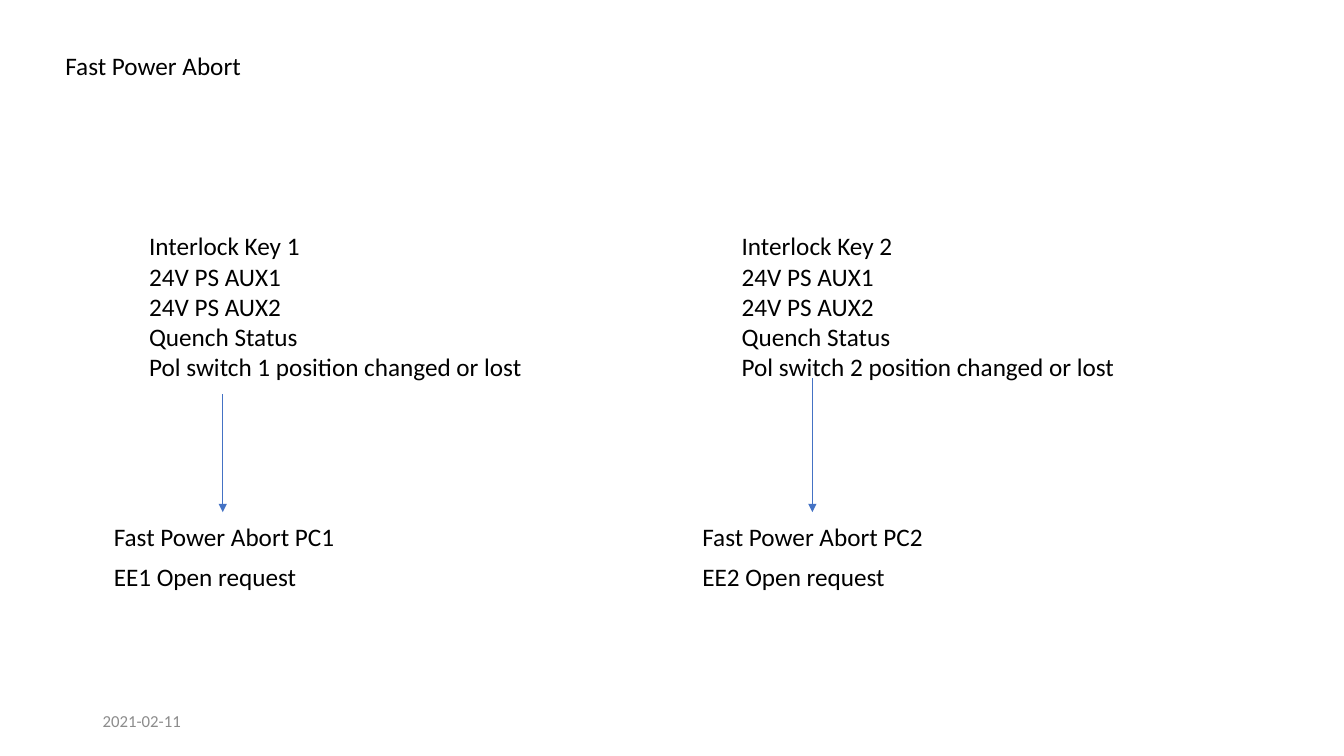
from dataclasses import dataclass

from lxml.etree import SubElement
from pptx import Presentation
from pptx.dml.color import RGBColor
from pptx.enum.shapes import MSO_CONNECTOR
from pptx.enum.text import MSO_ANCHOR, MSO_AUTO_SIZE
from pptx.oxml.ns import qn
from pptx.util import Pt


@dataclass(frozen=True)
class Theme:
    font: str = "Calibri"
    body_size: float = 18
    date_size: float = 12
    ink: RGBColor = RGBColor(0x00, 0x00, 0x00)
    muted: RGBColor = RGBColor(0x8C, 0x8C, 0x8C)
    arrow: RGBColor = RGBColor(0x44, 0x72, 0xC4)
    arrow_width: float = 0.5


THEME = Theme()
LINE_HEIGHT = 28.8
ACTION_TOP = 368.6
ARROW_END = 365.8


def write_lines(frame, lines, size, color):
    frame.text = "\n".join(lines)
    for paragraph in frame.paragraphs:
        paragraph.font.name = THEME.font
        paragraph.font.size = Pt(size)
        paragraph.font.color.rgb = color


def add_label(slide, left, top, width, height, *lines):
    label = slide.shapes.add_textbox(Pt(left), Pt(top), Pt(width), Pt(height))
    label.text_frame.word_wrap = False
    label.text_frame.auto_size = MSO_AUTO_SIZE.SHAPE_TO_FIT_TEXT
    write_lines(label.text_frame, lines, THEME.body_size, THEME.ink)


def add_date(slide, date):
    footer = slide.shapes.add_textbox(Pt(66.2), Pt(500.5), Pt(216), Pt(LINE_HEIGHT))
    footer.text_frame.word_wrap = True
    footer.text_frame.vertical_anchor = MSO_ANCHOR.MIDDLE
    write_lines(footer.text_frame, [date], THEME.date_size, THEME.muted)


def add_down_arrow(slide, x, start, end):
    arrow = slide.shapes.add_connector(
        MSO_CONNECTOR.STRAIGHT, Pt(x), Pt(start), Pt(x), Pt(end)
    )
    arrow.line.color.rgb = THEME.arrow
    arrow.line.width = Pt(THEME.arrow_width)
    SubElement(arrow.line._get_or_add_ln(), qn("a:tailEnd"), type="triangle")
    SubElement(arrow._element.spPr, qn("a:effectLst"))


def add_abort_chain(slide, circuit, action_left, trigger_left, arrow_x, arrow_start):
    add_label(slide, action_left, ACTION_TOP, 173.5, LINE_HEIGHT,
              f"Fast Power Abort PC{circuit}")
    add_label(slide, action_left, ACTION_TOP + LINE_HEIGHT, 146.2, LINE_HEIGHT,
              f"EE{circuit} Open request")
    add_down_arrow(slide, arrow_x, arrow_start, ARROW_END)
    add_label(
        slide, trigger_left, 161.3, 283.7, 116.6,
        f"Interlock Key {circuit}",
        "24V PS AUX1",
        "24V PS AUX2",
        "Quench Status",
        f"Pol switch {circuit} position changed or lost",
    )


def main():
    deck = Presentation()
    deck.slide_width, deck.slide_height = Pt(960), Pt(540)
    slide = deck.slides.add_slide(deck.slide_layouts[6])
    add_abort_chain(slide, 1, 74.2, 99.4, 159.1, 281.5)
    add_abort_chain(slide, 2, 494.6, 522.7, 580.3, 270)
    add_label(slide, 39.6, 32.4, 141.1, LINE_HEIGHT, "Fast Power Abort")
    add_date(slide, "2021-02-11")
    deck.save("out.pptx")


if __name__ == "__main__":
    main()
